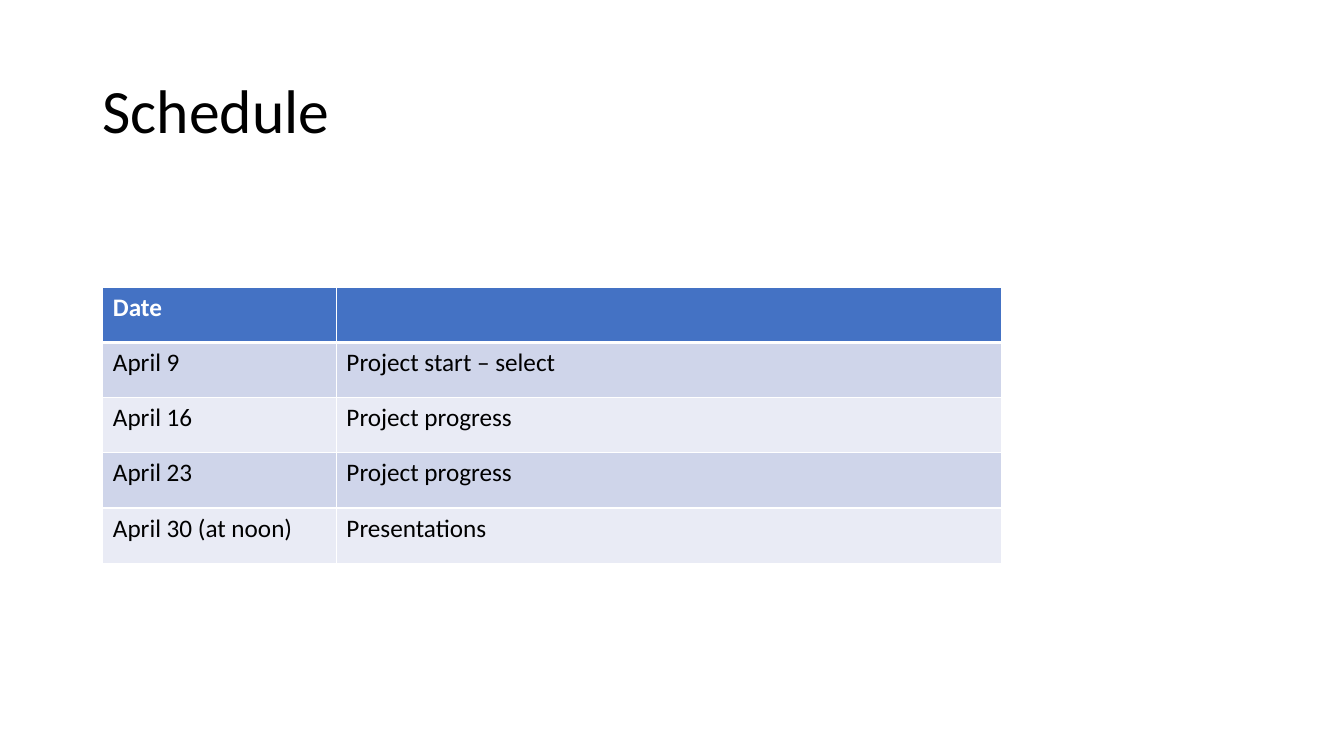
from dataclasses import dataclass

from lxml import etree
from pptx import Presentation
from pptx.dml.color import RGBColor
from pptx.enum.text import MSO_ANCHOR
from pptx.oxml.ns import qn
from pptx.util import Inches, Pt

MIDDLE = MSO_ANCHOR.MIDDLE
BLANK_LAYOUT = 6


@dataclass(frozen=True)
class Theme:
    font: str = "Calibri"
    title_size: int = 44
    body_size: int = 18
    text: str = "000000"
    header_text: str = "FFFFFF"
    header_fill: str = "4472C4"
    bands: tuple = ("CFD5EA", "E9EBF5")
    border: str = "FFFFFF"
    border_width: int = 1
    header_rule: int = 3


THEME = Theme()
SLIDE_SIZE = (13.33, 7.5)
TITLE_BOX = (0.92, 0.4, 11.5, 1.45)
TABLE_BOX = (1.02, 2.85, 8.91, 2.74)
DATE_SHARE = 0.26
SCHEDULE = [
    ("Date", ""),
    ("April 9", "Project start – select"),
    ("April 16", "Project progress"),
    ("April 23", "Project progress"),
    ("April 30 (at noon)", "Presentations"),
]


def set_text(tf, text, size=THEME.body_size, color=THEME.text, bold=False, spacing=1.0):
    p = tf.paragraphs[0]
    p.line_spacing = spacing
    p.font.size = Pt(size)
    if text:
        r = p.add_run()
        r.text = text
        r.font.name = THEME.font
        r.font.size = Pt(size)
        r.font.bold = bold
        r.font.color.rgb = RGBColor.from_string(color)


def set_borders(cell, widths):
    """Draw cell edges; widths maps L, R, T and B to points."""
    tcPr = cell._tc.get_or_add_tcPr()
    for i, (side, width) in enumerate(widths.items()):
        ln = etree.Element(qn(f"a:ln{side}"), w=str(Pt(width)))
        fill = etree.SubElement(ln, qn("a:solidFill"))
        etree.SubElement(fill, qn("a:srgbClr"), val=THEME.border)
        tcPr.insert(i, ln)


def add_title(s, box, text):
    tf = s.shapes.add_textbox(*map(Inches, box)).text_frame
    tf.word_wrap = True
    tf.vertical_anchor = MIDDLE
    set_text(tf, text, size=THEME.title_size, spacing=0.9)


def add_schedule(s, box, rows):
    left, top, width, height = map(Inches, box)
    table = s.shapes.add_table(len(rows), len(rows[0]), left, top, width, height).table
    table.columns[0].width = int(width * DATE_SHARE)
    table.columns[1].width = width - table.columns[0].width

    for i, row in enumerate(rows):
        header = i == 0
        fill = THEME.header_fill if header else THEME.bands[(i - 1) % 2]
        color = THEME.header_text if header else THEME.text
        widths = dict.fromkeys("LRTB", THEME.border_width)
        if header:
            widths["B"] = THEME.header_rule
        elif i == 1:
            widths["T"] = THEME.header_rule
        for j, text in enumerate(row):
            cell = table.cell(i, j)
            cell.fill.solid()
            cell.fill.fore_color.rgb = RGBColor.from_string(fill)
            set_text(cell.text_frame, text, color=color, bold=header)
            set_borders(cell, widths)


def main():
    prs = Presentation()
    prs.slide_width, prs.slide_height = map(Inches, SLIDE_SIZE)
    s = prs.slides.add_slide(prs.slide_layouts[BLANK_LAYOUT])
    add_title(s, TITLE_BOX, "Schedule")
    add_schedule(s, TABLE_BOX, SCHEDULE)
    prs.save("out.pptx")


if __name__ == "__main__":
    main()
